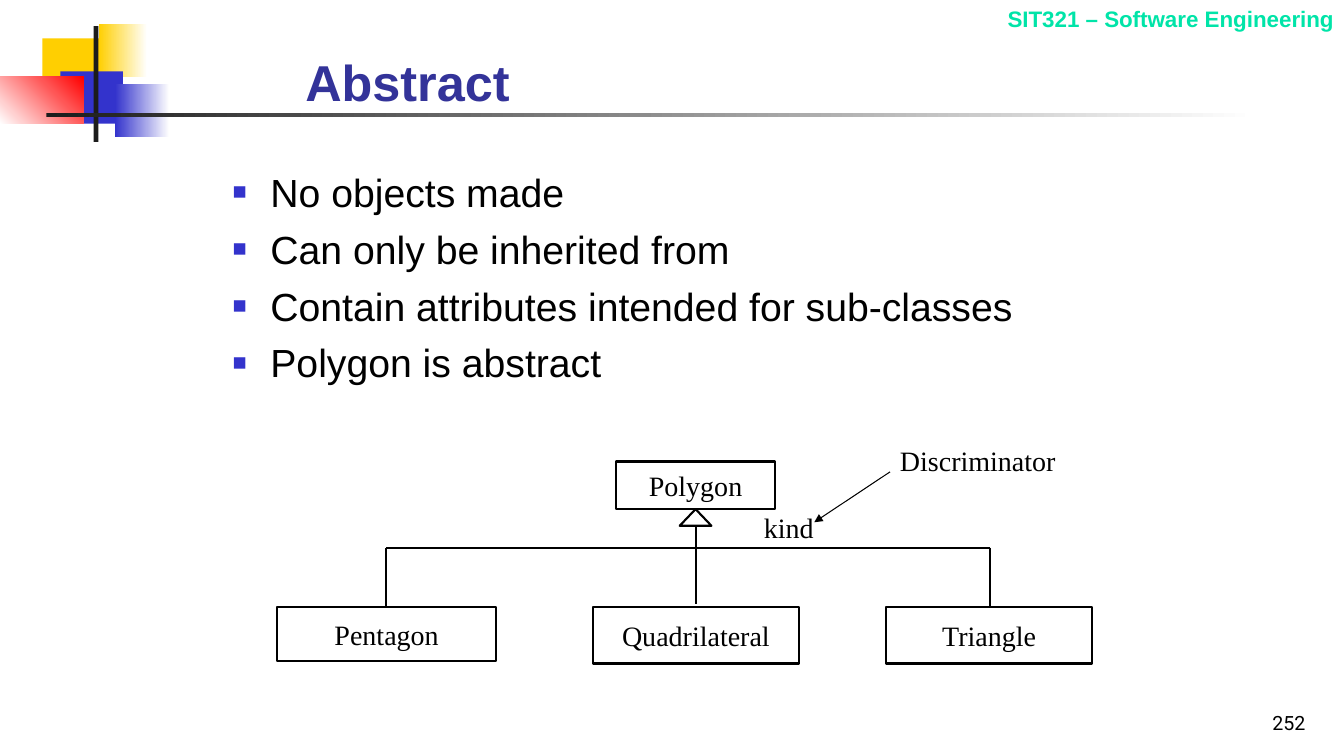
from lxml.etree import SubElement
from pptx import Presentation
from pptx.dml.color import RGBColor
from pptx.enum.shapes import MSO_CONNECTOR, MSO_SHAPE
from pptx.enum.text import MSO_ANCHOR, MSO_AUTO_SIZE, PP_ALIGN
from pptx.oxml.ns import qn
from pptx.util import Cm, Pt

INK = "000000"
BLUE = "3333CC"
YELLOW = "FFCF01"
CHARCOAL = "1C1C1C"
WHITE = "FFFFFF"


def color(value):
    """Turn a hex string into a colour."""
    return RGBColor.from_string(value)


class SlideBuilder:
    """Hold the style and the current slide, and add elements to it."""

    label_format = {"name": "Times New Roman", "size": Pt(20), "bold": False}
    line_width = 1.5

    def __init__(self, presentation):
        """Add a title and content slide."""
        self.slide = presentation.slides.add_slide(presentation.slide_layouts[1])

    def place(self, shape, box):
        """Move and size a shape."""
        for name, value in zip(("left", "top", "width", "height"), box):
            setattr(shape, name, Cm(value))

    def format_font(self, paragraph, font_format, hex_color):
        """Apply font values to a paragraph."""
        for name, value in font_format.items():
            setattr(paragraph.font, name, value)
        paragraph.font.color.rgb = color(hex_color)

    def format_frame(self, frame, anchor):
        """Wrap the text at a fixed box size."""
        frame_format = {"word_wrap": True, "auto_size": MSO_AUTO_SIZE.NONE,
                        "vertical_anchor": anchor}
        for name, value in frame_format.items():
            setattr(frame, name, value)

    def title(self, text, box):
        """Fill the title placeholder."""
        shape = self.slide.shapes.title
        self.place(shape, box)
        self.format_frame(shape.text_frame, MSO_ANCHOR.BOTTOM)
        shape.text_frame.text = text
        paragraph = shape.text_frame.paragraphs[0]
        paragraph.alignment = PP_ALIGN.LEFT
        self.format_font(paragraph, {"name": "Arial", "size": Pt(36), "bold": True}, "333399")

    def bullets(self, items, box):
        """Fill the body placeholder with a bulleted list."""
        shape = self.slide.placeholders[1]
        self.place(shape, box)
        frame = shape.text_frame
        self.format_frame(frame, MSO_ANCHOR.TOP)
        frame.text = "\n".join(items)
        for index, paragraph in enumerate(frame.paragraphs):
            paragraph.space_before = Pt(7 if index else 0)
            properties = paragraph._p.get_or_add_pPr()
            properties.set("marL", str(Cm(0.95)))
            properties.set("indent", str(-Cm(0.95)))
            bullet_color = SubElement(properties, qn("a:buClr"))
            SubElement(bullet_color, qn("a:srgbClr"), val=BLUE)
            SubElement(properties, qn("a:buSzPct"), val="60000")
            SubElement(properties, qn("a:buFont"), typeface="Arial")
            SubElement(properties, qn("a:buChar"), char="■")
            self.format_font(paragraph, {"name": "Arial", "size": Pt(28)}, INK)

    def text(self, text, box, font_format=label_format, hex_color=INK,
             alignment=PP_ALIGN.CENTER, anchor=MSO_ANCHOR.TOP):
        """Add a text box with one paragraph."""
        shape = self.slide.shapes.add_textbox(*map(Cm, box))
        self.format_frame(shape.text_frame, anchor)
        paragraph = shape.text_frame.paragraphs[0]
        paragraph.text = text
        paragraph.alignment = alignment
        self.format_font(paragraph, font_format, hex_color)

    def block(self, box, start, end=None, angle=0):
        """Add a plain or gradient rectangle without outline."""
        shape = self.slide.shapes.add_shape(MSO_SHAPE.RECTANGLE, *map(Cm, box))
        shape.shadow.inherit = False
        shape.line.fill.background()
        if end is None:
            shape.fill.solid()
            shape.fill.fore_color.rgb = color(start)
            return
        shape.fill.gradient()
        shape.fill.gradient_angle = angle
        for stop, value, position in zip(shape.fill.gradient_stops, (start, end), (0, 1)):
            stop.color.rgb = color(value)
            stop.position = position

    def outline(self, box, text="", preset=MSO_SHAPE.RECTANGLE):
        """Add an unfilled shape with an optional centred label."""
        shape = self.slide.shapes.add_shape(preset, *map(Cm, box))
        shape.shadow.inherit = False
        shape.fill.background()
        shape.line.color.rgb = color(INK)
        shape.line.width = Pt(self.line_width)
        if text:
            self.format_frame(shape.text_frame, MSO_ANCHOR.MIDDLE)
            paragraph = shape.text_frame.paragraphs[0]
            paragraph.text = text
            paragraph.alignment = PP_ALIGN.CENTER
            self.format_font(paragraph, self.label_format, INK)

    def line(self, start, end, width=line_width, arrow=False):
        """Add a straight line, with an arrowhead at its end if asked."""
        connector = self.slide.shapes.add_connector(
            MSO_CONNECTOR.STRAIGHT, *map(Cm, start + end))
        connector.line.color.rgb = color(INK)
        connector.line.width = Pt(width)
        if arrow:
            SubElement(connector.line._get_or_add_ln(), qn("a:tailEnd"), type="triangle")
        SubElement(connector._element.spPr, qn("a:effectLst"))


def main():
    """Build and save the slide."""
    presentation = Presentation()
    presentation.slide_width = Cm(33.87)
    presentation.slide_height = Cm(19.05)
    builder = SlideBuilder(presentation)

    builder.block((1.07, 0.97, 1.63, 1.32), YELLOW)
    builder.block((2.49, 0.61, 1.22, 1.32), YELLOW, WHITE)
    builder.block((1.52, 1.8, 1.58, 1.32), BLUE)
    builder.block((2.9, 2.13, 1.37, 1.32), BLUE, WHITE)
    builder.block((0, 1.93, 2.1, 1.18), WHITE, "FF0000", 45)
    builder.block((2.36, 0.66, 0.12, 2.92), CHARCOAL)
    builder.block((1.17, 2.86, 30.48, 0.08), CHARCOAL, WHITE)

    builder.text("SIT321 – Software Engineering", (20.4, 0, 13.47, 0.94),
                 {"name": "Arial", "size": Pt(16), "bold": True}, "00E4A8", PP_ALIGN.RIGHT)
    builder.text("252", (26.09, 17.35, 7.06, 1.27), {"name": "Roboto", "size": Pt(14)},
                 alignment=PP_ALIGN.RIGHT, anchor=MSO_ANCHOR.BOTTOM)
    builder.title("Abstract", (7.44, 0.58, 21.64, 2.36))
    builder.bullets(["No objects made", "Can only be inherited from",
                     "Contain attributes intended for sub-classes",
                     "Polygon is abstract"], (5.61, 4.11, 22.56, 6.38))

    pentagon_x, polygon_x, triangle_x = 9.73, 17.53, 24.94
    branch_y, child_y = 13.8, 15.3
    builder.outline((15.52, 11.63, 4.02, 1.2), "Polygon")
    builder.outline((6.99, child_y, 5.51, 1.35), "Pentagon")
    builder.outline((14.94, child_y, 5.2, 1.42), "Quadrilateral")
    builder.outline((22.33, child_y, 5.2, 1.42), "Triangle")
    builder.outline((polygon_x - 0.4, 12.83, 0.8, 0.42), preset=MSO_SHAPE.ISOSCELES_TRIANGLE)

    builder.line((pentagon_x, branch_y), (triangle_x, branch_y))
    for child_x in (pentagon_x, triangle_x):
        builder.line((child_x, branch_y), (child_x, child_y))
    builder.line((polygon_x, 15.21), (polygon_x, 13.25))

    builder.text("kind", (18.42, 12.75, 2.92, 1.09))
    builder.line((22.43, 11.89), (20.52, 13.16), 0.75, arrow=True)
    builder.text("Discriminator", (22.43, 11.05, 5.72, 1.09), alignment=PP_ALIGN.LEFT)
    presentation.save("out.pptx")


if __name__ == "__main__":
    main()
